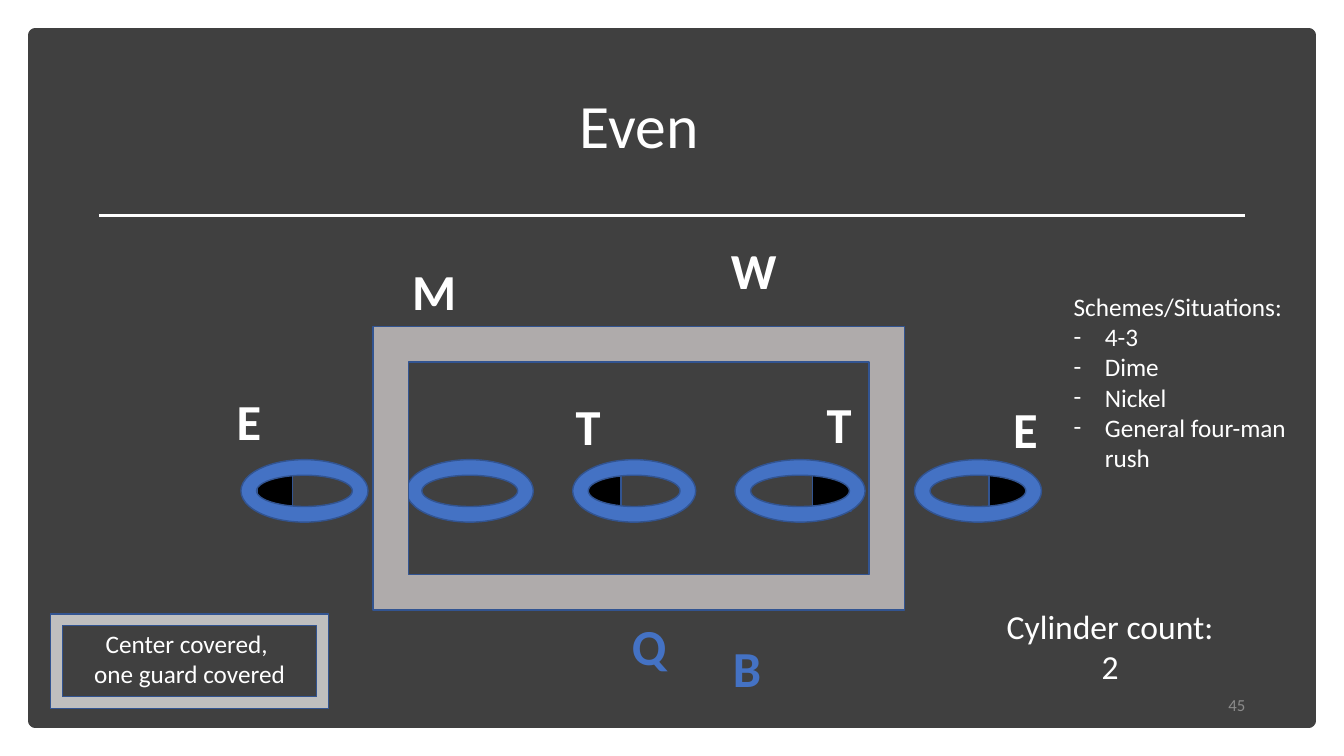
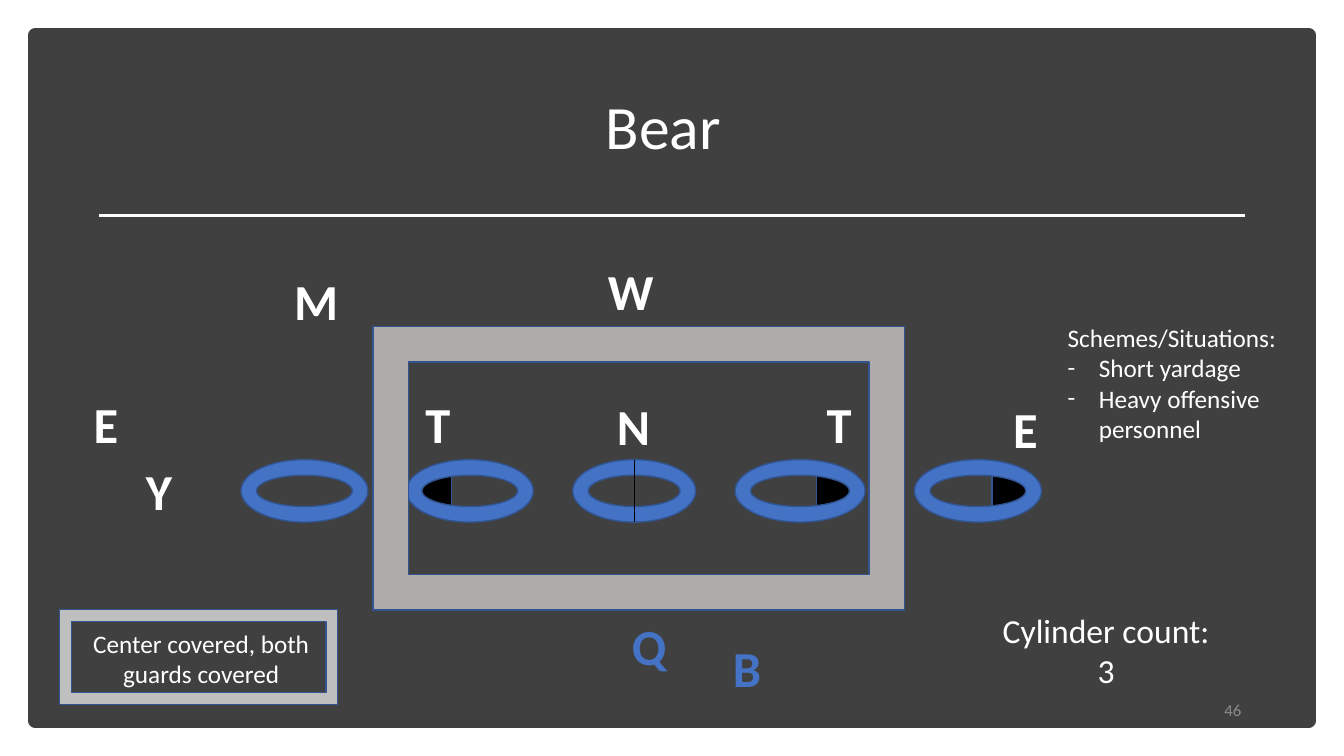
from dataclasses import dataclass

import lxml.etree
import pptx
import pptx.dml.color
import pptx.enum.shapes
import pptx.enum.text
import pptx.oxml.ns
import pptx.shapes.autoshape
import pptx.slide
import pptx.util

SHAPE = pptx.enum.shapes.MSO_SHAPE
ALIGN = pptx.enum.text.PP_ALIGN
ANCHOR = pptx.enum.text.MSO_ANCHOR
EMU_PER_PX = 9144


@dataclass(frozen=True)
class Theme:
    font: str = "Calibri"
    panel: str = "404040"
    text: str = "FFFFFF"
    offense: str = "4472C4"
    outline: str = "325491"
    box: str = "AFABAB"
    note_frame: str = "BFBFBF"
    shade: str = "000000"
    page: str = "8C8C8C"
    title_size: int = 44
    player_size: int = 36
    count_size: int = 24
    body_size: int = 18
    page_size: int = 12


@dataclass(frozen=True)
class Box:
    x: int
    y: int
    w: int
    h: int


@dataclass(frozen=True)
class Player:
    letter: str
    x: int
    y: int
    color: str


@dataclass(frozen=True)
class Front:
    title: str
    title_box: Box
    shades: list[Box]
    defenders: list[Player]
    center_split: bool
    note: list[str]
    note_box: Box
    note_frame: Box
    cylinders: int
    count_box: Box
    schemes: list[str]
    schemes_box: Box
    page: int
    page_box: Box


THEME = Theme()
PANEL = Box(35, 35, 1263, 680)
TACKLE_BOX = Box(370, 324, 527, 281)
CENTER = Box(568, 456, 122, 62)
LINEMEN = [
    Box(239, 456, 126, 62),
    Box(403, 456, 126, 62),
    CENTER,
    Box(729, 456, 129, 62),
    Box(907, 456, 126, 62),
]
BACKFIELD = [
    Player("Q", 617, 605, THEME.offense),
    Player("B", 717, 627, THEME.offense),
]


def defender(letter: str, x: int, y: int) -> Player:
    return Player(letter, x, y, THEME.text)


SHARED_DEFENDERS = [defender("T", 810, 385), defender("E", 995, 390)]

FRONTS = [
    Front(
        title="Even",
        title_box=Box(59, 55, 1150, 145),
        shades=[
            Box(255, 470, 35, 37),
            Box(981, 468, 38, 39),
            Box(806, 468, 38, 39),
            Box(583, 468, 33, 39),
        ],
        defenders=[
            defender("T", 561, 387),
            defender("W", 715, 232),
            defender("M", 399, 253),
            defender("E", 225, 382),
        ],
        center_split=False,
        note=["Center covered, ", "one guard covered"],
        note_box=Box(57, 618, 262, 71),
        note_frame=Box(50, 609, 276, 94),
        cylinders=2,
        count_box=Box(980, 596, 242, 91),
        schemes=["4-3", "Dime", "Nickel", "General four-man rush"],
        schemes_box=Box(1055, 284, 279, 222),
        page=45,
        page_box=Box(945, 679, 300, 40),
    ),
    Front(
        title="Bear",
        title_box=Box(83, 56, 1150, 145),
        shades=[
            Box(984, 471, 39, 31),
            Box(810, 472, 39, 31),
            Box(415, 472, 33, 31),
        ],
        defenders=[
            defender("T", 412, 385),
            defender("W", 593, 253),
            defender("M", 282, 263),
            defender("E", 83, 385),
            defender("N", 602, 387),
            defender("Y", 135, 452),
        ],
        center_split=True,
        note=["Center covered, both guards covered"],
        note_box=Box(60, 618, 279, 71),
        note_frame=Box(59, 605, 276, 94),
        cylinders=3,
        count_box=Box(976, 600, 242, 91),
        schemes=["Short yardage", "Heavy offensive personnel"],
        schemes_box=Box(1049, 315, 279, 162),
        page=46,
        page_box=Box(941, 684, 300, 40),
    ),
]


def px(n: int) -> pptx.util.Emu:
    return pptx.util.Emu(n * EMU_PER_PX)


def rgb(color: str) -> pptx.dml.color.RGBColor:
    return pptx.dml.color.RGBColor.from_string(color)


def add_figure(s: pptx.slide.Slide, kind: SHAPE, box: Box, fill: str,
               line: str = THEME.outline, width: float = 1) -> None:
    sp = s.shapes.add_shape(kind, px(box.x), px(box.y), px(box.w), px(box.h))
    sp.shadow.inherit = False
    sp.fill.solid()
    sp.fill.fore_color.rgb = rgb(fill)
    sp.line.color.rgb = rgb(line)
    sp.line.width = pptx.util.Pt(width)


def add_line(s: pptx.slide.Slide, x1: int, y1: int, x2: int, y2: int,
             color: str, width: float) -> None:
    line = s.shapes.add_connector(
        pptx.enum.shapes.MSO_CONNECTOR.STRAIGHT, px(x1), px(y1), px(x2), px(y2))
    line.line.color.rgb = rgb(color)
    line.line.width = pptx.util.Pt(width)
    lxml.etree.SubElement(line._element.spPr, pptx.oxml.ns.qn("a:effectLst"))


def add_text(s: pptx.slide.Slide, box: Box, lines: list[str], size: int,
             color: str = THEME.text, bold: bool = False,
             align: ALIGN = ALIGN.LEFT, anchor: ANCHOR = ANCHOR.TOP,
             ) -> pptx.shapes.autoshape.Shape:
    sp = s.shapes.add_textbox(px(box.x), px(box.y), px(box.w), px(box.h))
    tf = sp.text_frame
    tf.word_wrap = True
    tf.vertical_anchor = anchor
    tf.text = "\n".join(lines)
    for p in tf.paragraphs:
        p.alignment = align
        for r in p.runs:
            r.font.name = THEME.font
            r.font.size = pptx.util.Pt(size)
            r.font.bold = bold
            r.font.color.rgb = rgb(color)
    return sp


def add_schemes(s: pptx.slide.Slide, box: Box, schemes: list[str]) -> None:
    sp = add_text(s, box, ["Schemes/Situations:", *schemes], THEME.body_size)
    for p in sp.text_frame.paragraphs[1:]:
        pPr = p._p.get_or_add_pPr()
        pPr.set("marL", str(px(31)))
        pPr.set("indent", str(px(-31)))
        qn = pptx.oxml.ns.qn
        lxml.etree.SubElement(pPr, qn("a:buFont"), typeface=THEME.font)
        lxml.etree.SubElement(pPr, qn("a:buChar"), char="-")


def add_front(prs: pptx.presentation.Presentation, front: Front) -> None:
    s = prs.slides.add_slide(prs.slide_layouts[6])
    add_figure(s, SHAPE.RECTANGLE, PANEL, THEME.panel, THEME.panel, 10)
    add_line(s, 98, 214, 1235, 214, THEME.text, 1.75)
    title = add_text(s, front.title_box, [front.title], THEME.title_size,
                     align=ALIGN.CENTER, anchor=ANCHOR.MIDDLE)
    title.text_frame.paragraphs[0].line_spacing = 0.9
    for shade in front.shades:
        add_figure(s, SHAPE.RECTANGLE, shade, THEME.shade)
    for lineman in LINEMEN:
        add_figure(s, SHAPE.DONUT, lineman, THEME.offense)
    add_figure(s, SHAPE.FRAME, TACKLE_BOX, THEME.box)
    for player in front.defenders + SHARED_DEFENDERS + BACKFIELD:
        add_text(s, Box(player.x, player.y, 130, 71), [player.letter],
                 THEME.player_size, player.color, bold=True)
    if front.center_split:
        middle = CENTER.x + CENTER.w // 2
        add_line(s, middle, CENTER.y, middle, CENTER.y + CENTER.h, THEME.shade, 0.5)
    add_figure(s, SHAPE.FRAME, front.note_frame, THEME.note_frame)
    add_text(s, front.note_box, front.note, THEME.body_size, align=ALIGN.CENTER)
    add_text(s, front.count_box, [f"Cylinder count: {front.cylinders}"],
             THEME.count_size, align=ALIGN.CENTER)
    add_schemes(s, front.schemes_box, front.schemes)
    add_text(s, front.page_box, [str(front.page)], THEME.page_size, THEME.page,
             align=ALIGN.RIGHT, anchor=ANCHOR.MIDDLE)


def main() -> None:
    prs = pptx.Presentation()
    prs.slide_width, prs.slide_height = px(1333), px(750)
    for front in FRONTS:
        add_front(prs, front)
    prs.save("out.pptx")


if __name__ == "__main__":
    main()
